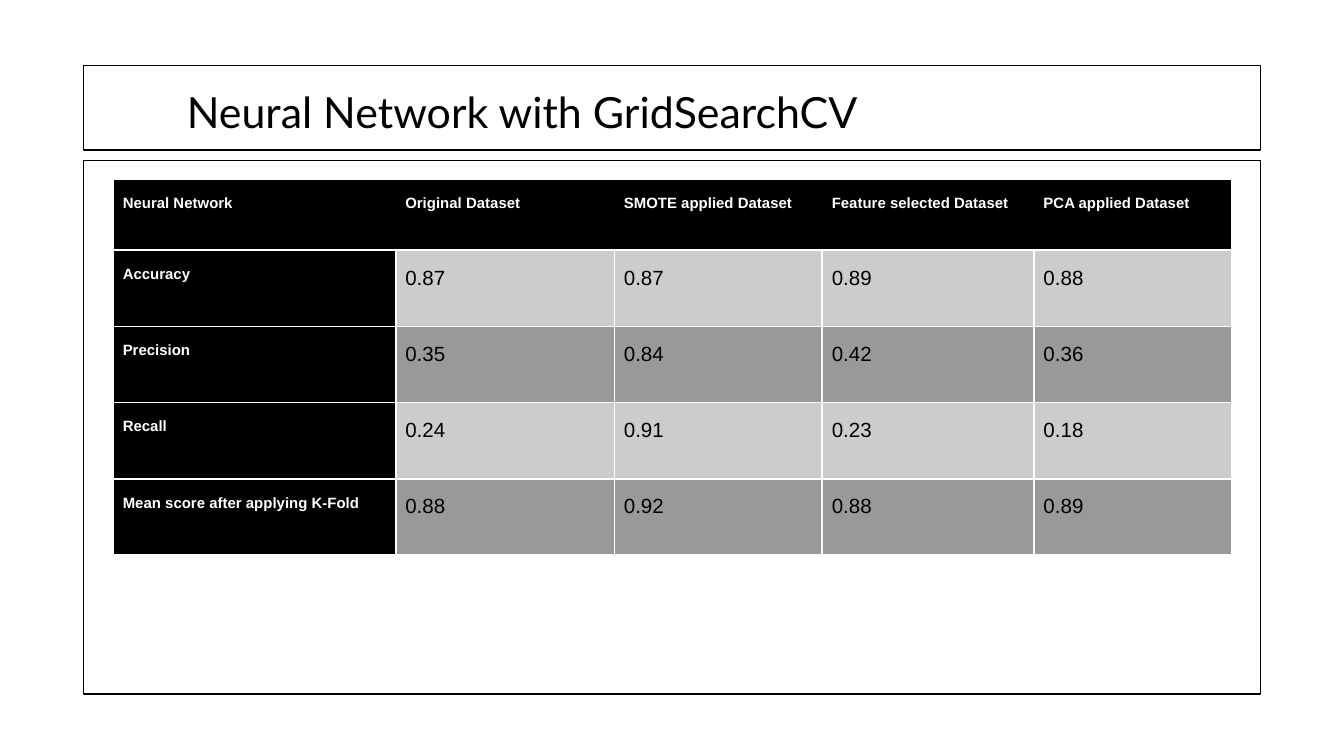
from dataclasses import dataclass

from lxml.etree import SubElement
from pptx import Presentation
from pptx.dml.color import RGBColor
from pptx.enum.shapes import MSO_SHAPE as Preset
from pptx.enum.text import MSO_ANCHOR as Anchor
from pptx.enum.text import MSO_AUTO_SIZE as AutoSize
from pptx.enum.text import PP_ALIGN as Align
from pptx.oxml.ns import qn
from pptx.slide import Slide
from pptx.table import _Cell as Cell
from pptx.util import Cm, Pt

BLACK = RGBColor(0x00, 0x00, 0x00)
WHITE = RGBColor(0xFF, 0xFF, 0xFF)
LIGHT_GRAY = RGBColor(0xCC, 0xCC, 0xCC)
DARK_GRAY = RGBColor(0x99, 0x99, 0x99)

INSET = Cm(0.25)
SIDE_INSET = Cm(0.18)
COLUMN_WIDTHS = (5.34, 4.13, 3.93, 4.0, 3.73)
HEADER_HEIGHT = 1.34
ROW_HEIGHT = 1.44


@dataclass(frozen=True)
class Area:
    left: float
    top: float
    width: float
    height: float


@dataclass(frozen=True)
class CellStyle:
    fill: RGBColor
    color: RGBColor
    size: int
    bold: bool


LABEL = CellStyle(BLACK, WHITE, 8, True)
VALUES = (
    CellStyle(LIGHT_GRAY, BLACK, 11, False),
    CellStyle(DARK_GRAY, BLACK, 11, False),
)

FRAMES = (Area(1.58, 1.24, 22.24, 1.6), Area(1.58, 3.04, 22.24, 10.08))
TITLE_AREA = Area(2.01, 1.24, 21.4, 1.6)
TABLE_AREA = Area(2.14, 3.39, sum(COLUMN_WIDTHS), HEADER_HEIGHT + 4 * ROW_HEIGHT)

SCORES = (
    ("Neural Network", "Original Dataset", "SMOTE applied Dataset",
     "Feature selected Dataset", "PCA applied Dataset"),
    ("Accuracy", "0.87", "0.87", "0.89", "0.88"),
    ("Precision", "0.35", "0.84", "0.42", "0.36"),
    ("Recall", "0.24", "0.91", "0.23", "0.18"),
    ("Mean score after applying K-Fold", "0.88", "0.92", "0.88", "0.89"),
)


def lengths(area: Area) -> tuple[Cm, Cm, Cm, Cm]:
    return Cm(area.left), Cm(area.top), Cm(area.width), Cm(area.height)


def add_frame(page: Slide, area: Area) -> None:
    frame = page.shapes.add_shape(Preset.RECTANGLE, *lengths(area))
    frame.shadow.inherit = False
    frame.fill.solid()
    frame.fill.fore_color.rgb = WHITE
    frame.line.color.rgb = BLACK
    frame.line.width = Pt(0.75)


def add_title(page: Slide, text: str) -> None:
    title = page.shapes.title
    title.left, title.top, title.width, title.height = lengths(TITLE_AREA)
    page.shapes._spTree.append(title._element)
    box = title.text_frame
    box.text = text
    box.word_wrap = True
    box.auto_size = AutoSize.NONE
    box.vertical_anchor = Anchor.MIDDLE
    box.margin_left = box.margin_right = INSET
    box.margin_top = box.margin_bottom = INSET
    para = box.paragraphs[0]
    para.alignment = Align.LEFT
    para.line_spacing = 1.15
    para.space_before = Pt(0)
    properties = para._p.get_or_add_pPr()
    properties.set("marL", str(Cm(1.27)))
    properties.set("indent", "0")
    para.font.name = "Lato"
    para.font.size = Pt(23)
    para.font.color.rgb = BLACK


def add_borders(cell: Cell, hidden: set[str]) -> None:
    properties = cell._tc.get_or_add_tcPr()
    for side in "LRTB":
        border = SubElement(properties, qn(f"a:ln{side}"), w=str(Pt(1)))
        if side in hidden:
            SubElement(border, qn("a:noFill"))
        else:
            fill = SubElement(border, qn("a:solidFill"))
            SubElement(fill, qn("a:srgbClr"), val=str(WHITE))


def format_cell(cell: Cell, text: str, style: CellStyle, hidden: set[str]) -> None:
    cell.text = text
    cell.margin_left = cell.margin_right = SIDE_INSET
    cell.margin_top = cell.margin_bottom = INSET
    add_borders(cell, hidden)
    cell.fill.solid()
    cell.fill.fore_color.rgb = style.fill
    para = cell.text_frame.paragraphs[0]
    para.line_spacing = 1.15
    para.font.name = "Arial"
    para.font.size = Pt(style.size)
    para.font.bold = style.bold
    para.font.color.rgb = style.color


def add_scores(page: Slide) -> None:
    last = len(COLUMN_WIDTHS) - 1
    table = page.shapes.add_table(
        len(SCORES), len(COLUMN_WIDTHS), *lengths(TABLE_AREA)
    ).table
    for column, width in zip(table.columns, COLUMN_WIDTHS):
        column.width = Cm(width)
    for i, texts in enumerate(SCORES):
        table.rows[i].height = Cm(ROW_HEIGHT if i else HEADER_HEIGHT)
        for j, text in enumerate(texts):
            hidden = set()
            if i == 0 and j > 0:
                hidden.add("L")
            if i == 0 and j < last:
                hidden.add("R")
            style = VALUES[(i - 1) % 2] if i and j else LABEL
            format_cell(table.cell(i, j), text, style, hidden)


def main() -> None:
    deck = Presentation()
    deck.slide_width, deck.slide_height = Cm(25.4), Cm(14.29)
    page = deck.slides.add_slide(deck.slide_layouts[5])
    for area in FRAMES:
        add_frame(page, area)
    add_title(page, "Neural Network with GridSearchCV")
    add_scores(page)
    deck.save("out.pptx")


if __name__ == "__main__":
    main()
